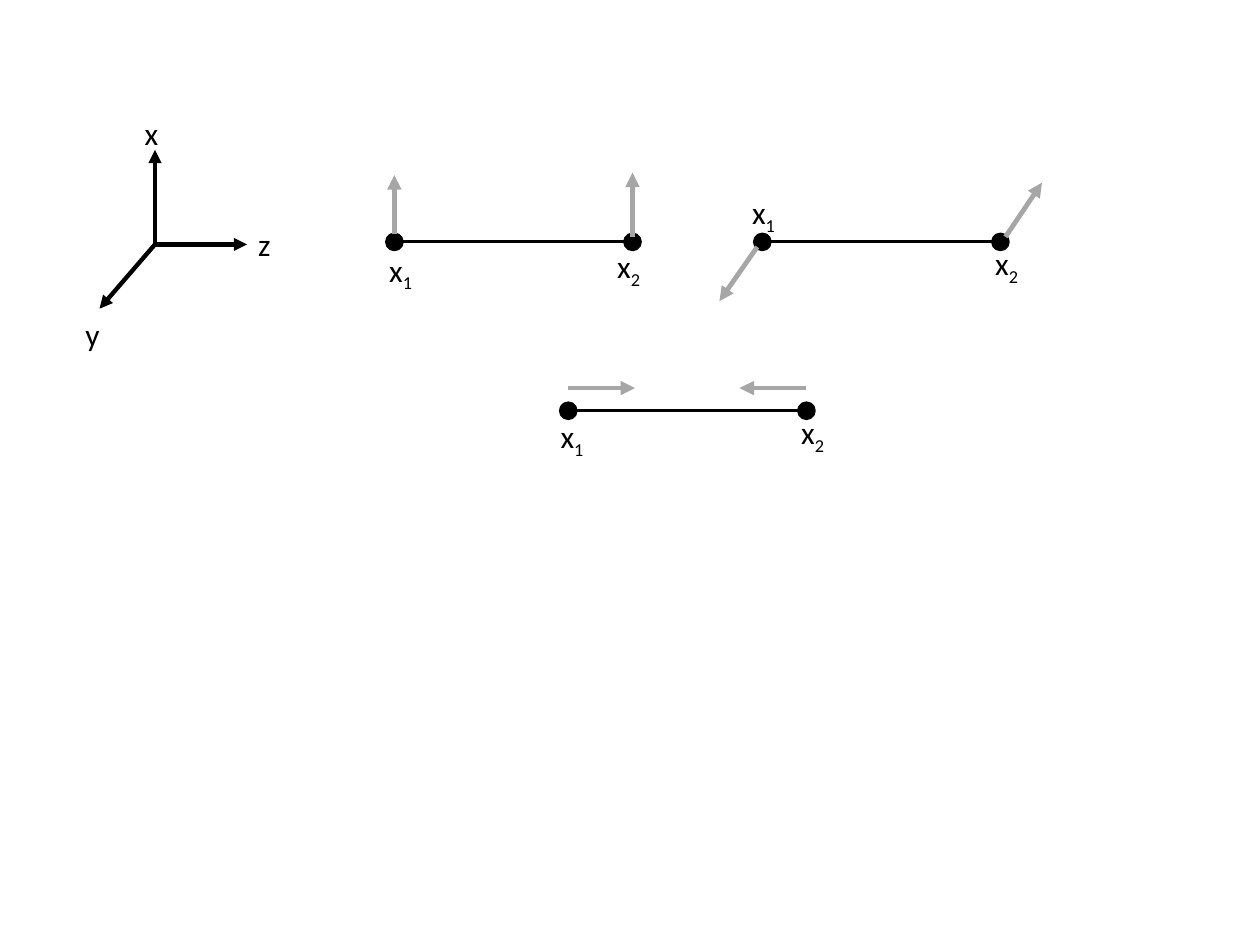
from lxml.etree import SubElement
from pptx import Presentation
from pptx.dml.color import RGBColor
from pptx.enum.shapes import MSO_CONNECTOR, MSO_SHAPE
from pptx.oxml.ns import qn
from pptx.util import Inches, Pt

BLACK = RGBColor(0x00, 0x00, 0x00)
GRAY = RGBColor(0xA6, 0xA6, 0xA6)
DOT = 0.12
SPAN = 1.89


def add_line(slide, start, end, color, width, arrow=False):
    line = slide.shapes.add_connector(
        MSO_CONNECTOR.STRAIGHT, *(Inches(v) for v in (*start, *end)))
    line.line.color.rgb = color
    line.line.width = Pt(width)
    if arrow:
        SubElement(line.line._get_or_add_ln(), qn("a:tailEnd"), type="triangle")
    SubElement(line._element.spPr, qn("a:effectLst"))


def add_label(slide, left, top, width, text, sub=""):
    box = slide.shapes.add_textbox(
        Inches(left), Inches(top), Inches(width), Inches(0.4))
    box.text_frame.word_wrap = True
    para = box.text_frame.paragraphs[0]
    para.add_run().text = text
    if sub:
        run = para.add_run()
        run.text = sub
        run._r.get_or_add_rPr().set("baseline", "-25000")
    para.font.size = Pt(18)
    para.font.name = "Calibri"
    para.font.color.rgb = BLACK


def add_dot(slide, x, y):
    dot = slide.shapes.add_shape(
        MSO_SHAPE.OVAL, Inches(x - DOT / 2), Inches(y - DOT / 2),
        Inches(DOT), Inches(DOT))
    dot.shadow.inherit = False
    dot.fill.solid()
    dot.fill.fore_color.rgb = BLACK
    dot.line.color.rgb = BLACK
    dot.line.width = Pt(2)


def add_axes(slide, x, y):
    """Draw the axes from the origin (x, y): tip and label offsets for each."""
    axes = (
        ("x", (0, -0.75), (-0.18, -1.08)),
        ("z", (0.73, 0), (0.72, -0.2)),
        ("y", (-0.44, 0.51), (-0.65, 0.51)),
    )
    for name, (dx, dy), (left, top) in axes:
        add_line(slide, (x, y), (x + dx, y + dy), BLACK, 2.5, arrow=True)
        add_label(slide, x + left, y + top, 0.49, name)


def add_pair(slide, x, y, ends):
    """Draw two joined dots, the left one at (x, y).

    Each end gives its arrow's start and tip and its label's corner,
    all measured from the centre of its dot.
    """
    add_line(slide, (x + DOT / 2, y), (x + SPAN - DOT / 2, y), BLACK, 1.75)
    for i, (start, tip, corner) in enumerate(ends):
        cx = x + i * SPAN
        add_dot(slide, cx, y)
        add_line(slide, (cx + start[0], y + start[1]),
                 (cx + tip[0], y + tip[1]), GRAY, 2.75, arrow=True)
        add_label(slide, cx + corner[0], y + corner[1], 0.55, "x", str(i + 1))


def main():
    deck = Presentation()
    deck.slide_width, deck.slide_height = Inches(10), Inches(7.5)
    slide = deck.slides.add_slide(deck.slide_layouts[6])
    add_axes(slide, 1.23, 1.94)
    # Both ends move up
    add_pair(slide, 3.13, 1.92, (
        ((0, -0.06), (0, -0.53), (-0.14, 0.02)),
        ((0, -0.04), (0, -0.55), (-0.22, -0.01)),
    ))
    # Ends move apart along y
    add_pair(slide, 6.05, 1.92, (
        ((-0.04, 0.04), (-0.34, 0.47), (-0.18, -0.44)),
        ((0.04, -0.04), (0.33, -0.47), (-0.14, -0.03)),
    ))
    # Ends move towards each other
    add_pair(slide, 4.51, 3.26, (
        ((0, -0.18), (0.53, -0.18), (-0.16, 0)),
        ((0, -0.18), (-0.53, -0.18), (-0.14, -0.03)),
    ))
    deck.save("out.pptx")


if __name__ == "__main__":
    main()
